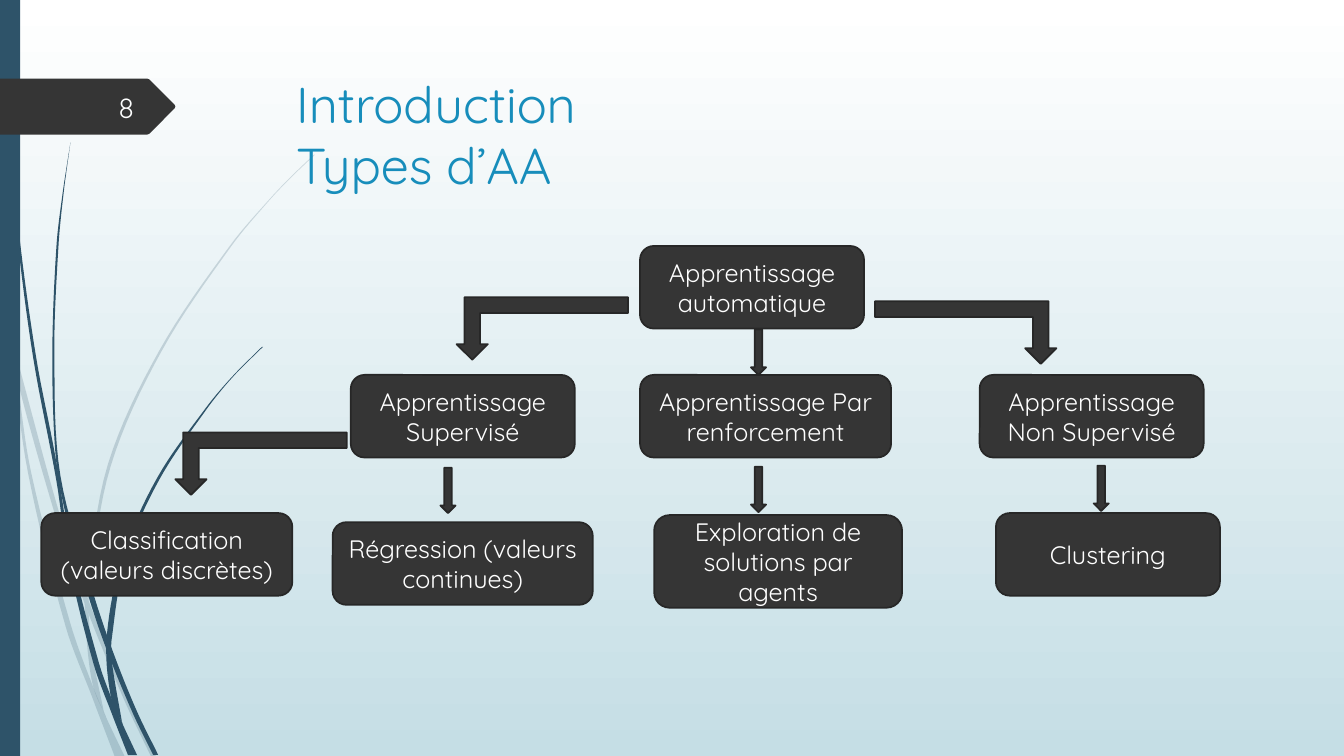
from dataclasses import dataclass
from math import hypot

from lxml import etree
from pptx import Presentation
from pptx.dml.color import RGBColor
from pptx.enum.shapes import MSO_SHAPE
from pptx.enum.text import MSO_ANCHOR, PP_ALIGN
from pptx.oxml.ns import qn
from pptx.util import Pt

RECT, ROUND = MSO_SHAPE.RECTANGLE, MSO_SHAPE.ROUNDED_RECTANGLE
DOWN, BENT = MSO_SHAPE.DOWN_ARROW, MSO_SHAPE.BENT_UP_ARROW
TOP, MIDDLE = MSO_ANCHOR.TOP, MSO_ANCHOR.MIDDLE
LEFT, CENTER, RIGHT = PP_ALIGN.LEFT, PP_ALIGN.CENTER, PP_ALIGN.RIGHT


@dataclass(frozen=True)
class Theme:
    font: str = "Quicksand"
    title: str = "178DBB"
    dark: str = "353535"
    edge: str = "272727"
    white: str = "FFFFFF"
    number: str = "FEFFFF"
    wisp: str = "2E5369"
    sky: tuple = ("FFFFFF", "C5DEE5")
    title_size: float = 36
    number_size: float = 20
    node_size: float = 18
    line_width: float = 1.25
    pale_alpha: int = 20000


T = Theme()
WISP_GRID = 0.72

PALE_WISPS = [
    ([(0, 299), (10, 344), (28, 470), (65, 621), (92, 693), (114, 751)],
     [(124, 751), (105, 711), (93, 683), (70, 619), (31, 469), (17, 376),
      (9, 322), (0, 282)]),
    ([(14, 345), (17, 376), (58, 522), (84, 599), (123, 694), (150, 751)],
     [(155, 751), (127, 692), (92, 607), (62, 520), (14, 345)]),
    ([(312, 154), (290, 175), (268, 198), (229, 245), (160, 349), (110, 462),
      (88, 584), (88, 596)],
     [(85, 586), (107, 461), (158, 348), (228, 244), (268, 197), (289, 175),
      (312, 153)]),
    ([(84, 599), (87, 646), (93, 683), (105, 711)],
     [(103, 706), (91, 646), (88, 610)]),
]
DARK_WISPS = [
    ([(3, 0), (4, 48), (7, 110), (17, 233), (33, 355), (56, 477), (68, 557),
      (93, 659), (111, 708), (127, 749)],
     [(136, 749), (122, 719), (110, 691), (98, 657), (72, 556), (55, 453),
      (36, 355), (19, 232), (8, 109), (5, 48), (4, 0)]),
    ([(70, 141), (62, 193), (56, 245), (52, 349), (55, 449), (64, 505),
      (88, 592), (106, 645), (132, 708), (152, 749)],
     [(157, 749), (136, 706), (113, 649), (93, 590), (60, 472), (54, 349),
      (58, 245), (63, 193), (70, 141)]),
    ([(260, 344), (231, 373), (204, 405), (156, 474), (122, 551), (106, 631),
      (110, 691), (122, 719)],
     [(121, 716), (111, 656), (111, 633), (125, 552), (158, 476), (205, 406),
      (231, 374), (261, 344)]),
]
NODES = [
    ("Apprentissage automatique", 427.7, 0, 160, 59),
    ("Apprentissage Supervisé", 221.1, 92.1, 160, 59),
    ("Apprentissage Par renforcement", 427.7, 92.1, 179.3, 59),
    ("Apprentissage Non Supervisé", 670.3, 92.1, 160, 59),
    ("Classification (valeurs discrètes)", 0, 190.8, 179.3, 59),
    ("Régression (valeurs continues)", 208.1, 197.3, 185.8, 59),
    ("Exploration de solutions par agents", 437.8, 192.2, 177.1, 66.2),
    ("Clustering", 681.9, 190.8, 160, 59),
]
DOWN_ARROWS = [(506.9, 59.7), (506.9, 157.7), (285.1, 158.4), (751.7, 156.9)]
BENT_ARROWS = [
    (95.8, 133.2, 122.4, ("flipH", "flipV")),
    (296.7, 36.7, 122.4, ("flipH", "flipV")),
    (595.5, 39.6, 129.6, ("flipV",)),
]


def rgb(color):
    return RGBColor.from_string(color)


def paint(sp, fill, line=None):
    sp.shadow.inherit = False
    sp.fill.solid()
    sp.fill.fore_color.rgb = rgb(fill)
    if line:
        sp.line.color.rgb = rgb(line)
        sp.line.width = Pt(T.line_width)
    else:
        sp.line.fill.background()


def add_preset(s, kind, x, y, w, h, fill, line=None):
    sp = s.shapes.add_shape(kind, Pt(x), Pt(y), Pt(w), Pt(h))
    paint(sp, fill, line)
    return sp


def add_outline(s, points, fill):
    start, *rest = [(Pt(x), Pt(y)) for x, y in points]
    builder = s.shapes.build_freeform(*start)
    builder.add_line_segments(rest, close=True)
    sp = builder.convert_to_shape()
    paint(sp, fill)
    return sp


def write(sp, text, size, color, align, anchor):
    tf = sp.text_frame
    p = tf.paragraphs[0]
    p.text = text
    formats = {
        tf: {"word_wrap": True, "vertical_anchor": anchor},
        p: {"alignment": align},
    }
    for target, values in formats.items():
        for name, value in values.items():
            setattr(target, name, value)
    for r in p.runs:
        for name, value in {"name": T.font, "size": Pt(size)}.items():
            setattr(r.font, name, value)
        r.font.color.rgb = rgb(color)


def add_text(s, box, *style):
    write(s.shapes.add_textbox(*map(Pt, box)), *style)


def smooth_edge(knots, steps=8):
    padded = [knots[0], *knots, knots[-1]]
    curve = [knots[0]]
    for a, b, c, d in zip(padded, padded[1:], padded[2:], padded[3:]):
        chord = hypot(c[0] - b[0], c[1] - b[1])
        before = chord / hypot(c[0] - a[0], c[1] - a[1])
        after = chord / hypot(d[0] - b[0], d[1] - b[1])
        for i in range(1, steps + 1):
            t = i / steps
            curve.append(tuple(
                (2 * t**3 - 3 * t**2 + 1) * b[k]
                + (t**3 - 2 * t**2 + t) * (c[k] - a[k]) * before
                + (3 * t**2 - 2 * t**3) * c[k]
                + (t**3 - t**2) * (d[k] - b[k]) * after
                for k in (0, 1)))
    return curve


def draw_wisps(s, box):
    x, y, w, h = box
    for wisps, alpha in ((PALE_WISPS, T.pale_alpha), (DARK_WISPS, None)):
        for near, far in wisps:
            outline = smooth_edge(near) + smooth_edge(far)
            sp = add_outline(s, [(x + u * WISP_GRID, y + v * WISP_GRID)
                                 for u, v in outline], T.wisp)
            if alpha:
                color = sp._element.spPr.find(qn("a:solidFill"))[0]
                etree.SubElement(color, qn("a:alpha")).set("val", str(alpha))
    add_preset(s, RECT, x, y, w, h, T.wisp)


def draw_page_badge(s, box, number):
    x, y, w, h = box
    add_outline(s, [(x, y), (x + w - 20, y), (x + w - 18.5, y + 0.6),
                    (x + w - 0.5, y + h / 2 - 1.2), (x + w, y + h / 2),
                    (x + w - 0.5, y + h / 2 + 1.2), (x + w - 18.5, y + h - 0.6),
                    (x + w - 20, y + h), (x, y + h)], T.dark)
    add_text(s, (x + 41.8, y + 5.7, 61.2, 28.8), number, T.number_size,
             T.number, RIGHT, MIDDLE)


def draw_tree(s, box):
    x, y = box[:2]
    for text, dx, dy, w, h in NODES:
        sp = add_preset(s, ROUND, x + dx, y + dy, w, h, T.dark, T.edge)
        write(sp, text, T.node_size, T.white, CENTER, MIDDLE)
    for dx, dy in DOWN_ARROWS:
        add_preset(s, DOWN, x + dx, y + dy, 10.8, 32.4, T.dark, T.edge)
    for dx, dy, w, flips in BENT_ARROWS:
        sp = add_preset(s, BENT, x + dx, y + dy, w, 44.6, T.dark, T.edge)
        for flip in flips:
            sp._element.spPr.find(qn("a:xfrm")).set(flip, "1")


def draw_background(s):
    fill = s.background.fill
    fill.gradient()
    fill.gradient_angle = 270
    for stop, color in zip(fill.gradient_stops, T.sky):
        stop.color.rgb = rgb(color)


def main():
    prs = Presentation()
    prs.slide_width, prs.slide_height = Pt(960), Pt(540)
    s = prs.slides.add_slide(prs.slide_layouts[6])
    draw_background(s)
    draw_wisps(s, (0, 0, 14.4, 540))
    add_text(s, (204.5, 49, 702, 100.8), "Introduction\vTypes d’AA",
             T.title_size, T.title, LEFT, TOP)
    draw_tree(s, (29.5, 175.7, 842, 258.4))
    draw_page_badge(s, (0, 56.2, 125.3, 39.9), "8")
    prs.save("out.pptx")


if __name__ == "__main__":
    main()
